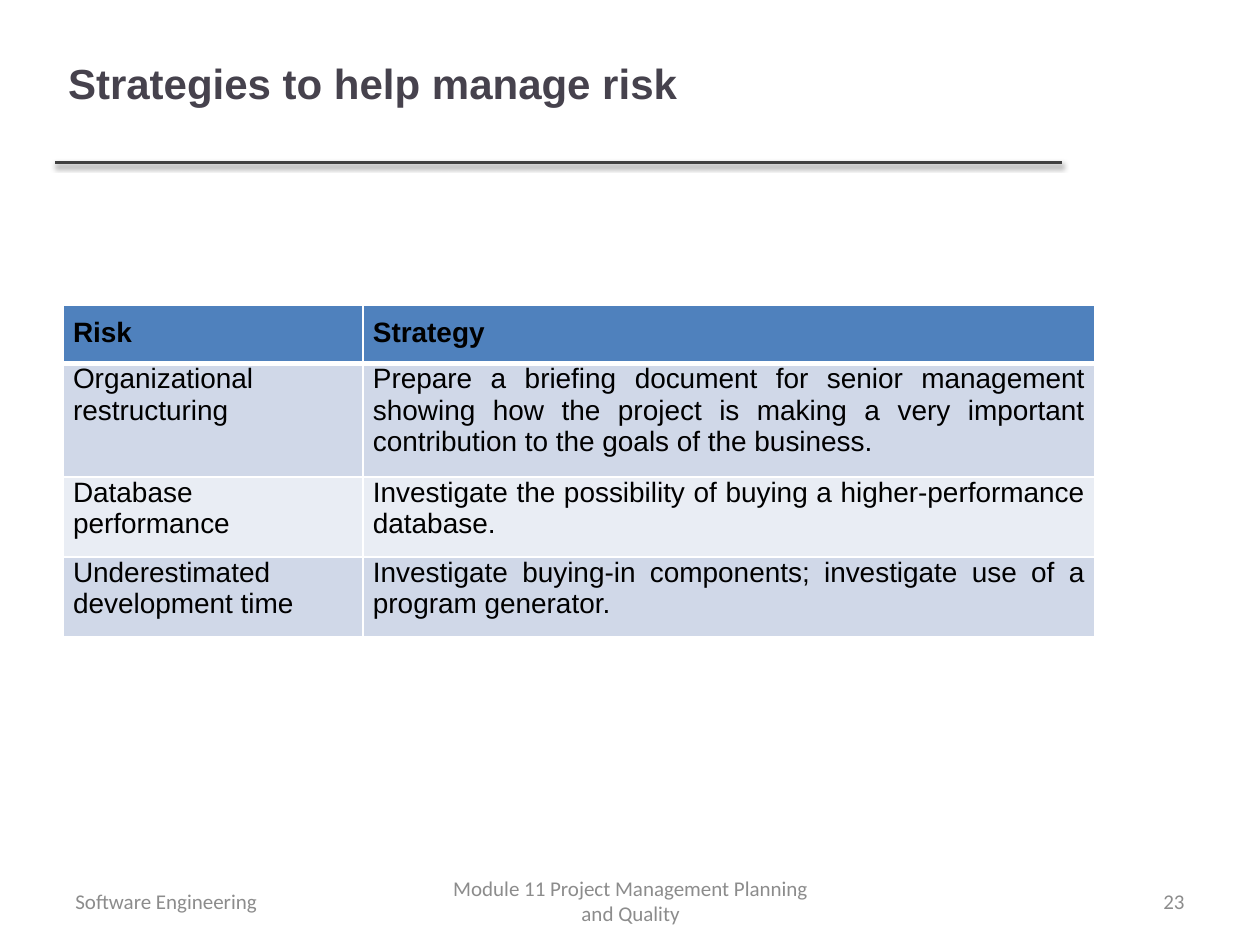
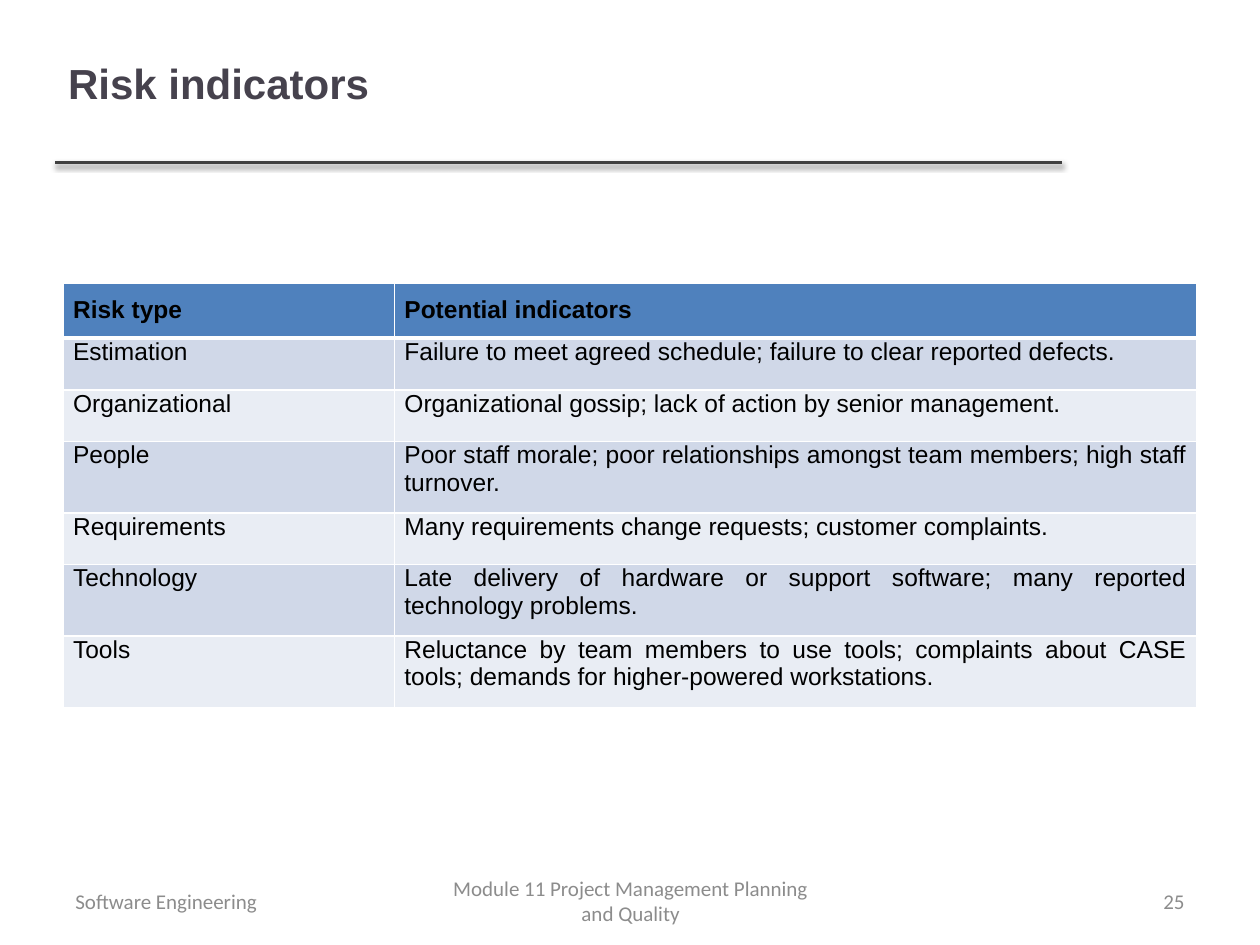
from lxml import etree
from pptx import Presentation
from pptx.dml.color import RGBColor
from pptx.enum import shapes, text
from pptx.oxml import parse_xml
from pptx.oxml.ns import nsdecls, qn
from pptx.util import Inches, Pt

COLORS = {
    "title": "46424D", "rule": "404040", "footer": "8C8C8C", "text": "000000",
    "header": "4F81BD", "odd": "D0D8E8", "even": "E9EDF4", "border": "FFFFFF",
}
LEFT, CENTER, RIGHT, JUSTIFY = (
    text.PP_ALIGN.LEFT, text.PP_ALIGN.CENTER, text.PP_ALIGN.RIGHT, text.PP_ALIGN.JUSTIFY)
ROW_HEIGHT = 0.41

STRATEGIES = [
    ("Risk", "Strategy"),
    ("Organizational restructuring",
     "Prepare a briefing document for senior management showing how the project is "
     "making a very important contribution to the goals of the business."),
    ("Database performance",
     "Investigate the possibility of buying a higher-performance database."),
    ("Underestimated development time",
     "Investigate buying-in components; investigate use of a program generator."),
]
INDICATORS = [
    ("Risk type", "Potential indicators"),
    ("Estimation", "Failure to meet agreed schedule; failure to clear reported defects."),
    ("Organizational", "Organizational gossip; lack of action by senior management."),
    ("People",
     "Poor staff morale; poor relationships amongst team members; high staff turnover."),
    ("Requirements", "Many requirements change requests; customer complaints."),
    ("Technology",
     "Late delivery of hardware or support software; many reported technology problems."),
    ("Tools",
     "Reluctance by team members to use tools; complaints about CASE tools; "
     "demands for higher-powered workstations."),
]


def rgb(name):
    return RGBColor.from_string(COLORS[name])


def write(tf, content, size=12, font="Arial", color="text", bold=False, align=LEFT):
    p = tf.paragraphs[0]
    p.alignment = align
    r = p.add_run()
    r.text = content
    r.font.name, r.font.size, r.font.bold = font, Pt(size), bold
    r.font.color.rgb = rgb(color)


def set_borders(cell, **widths):
    """Draw the cell's sides; widths are points keyed L, R, T and B."""
    tcPr = cell._tc.get_or_add_tcPr()
    for i, side in enumerate("LRTB"):
        tcPr.insert(i, parse_xml(
            f'<a:ln{side} {nsdecls("a")} w="{Pt(widths.get(side, 1))}"><a:solidFill>'
            f'<a:srgbClr val="{COLORS["border"]}"/></a:solidFill></a:ln{side}>'))


class Deck:
    def __init__(self):
        self.prs = Presentation()
        self.prs.slide_width, self.prs.slide_height = Inches(10), Inches(7.5)
        self.s = None

    def slide(self, title, number):
        self.s = self.prs.slides.add_slide(self.prs.slide_layouts[5])
        self.title(title)
        self.rule()
        self.footer(0.5, 2.33, "Software Engineering", LEFT)
        self.footer(3.42, 3.17, "Module 11 Project Management Planning and Quality", CENTER)
        self.footer(7.17, 2.33, str(number), RIGHT)

    def title(self, content):
        sp = self.s.shapes.title
        sp.left, sp.top, sp.width, sp.height = map(Inches, (0.44, 0.03, 7.98, 1.25))
        tf = sp.text_frame
        tf.auto_size = text.MSO_AUTO_SIZE.NONE
        tf.vertical_anchor = text.MSO_ANCHOR.MIDDLE
        write(tf, content, size=24, color="title", bold=True)

    def rule(self):
        line = self.s.shapes.add_connector(
            shapes.MSO_CONNECTOR.STRAIGHT,
            Inches(0.44), Inches(1.29), Inches(8.43), Inches(1.29))
        line.line.color.rgb = rgb("rule")
        line.line.width = Pt(2)
        effects = etree.SubElement(line._element.spPr, qn("a:effectLst"))
        effects.append(parse_xml(
            f'<a:outerShdw {nsdecls("a")} blurRad="{Pt(3.1)}" dist="{Pt(1.6)}" '
            'dir="5400000" rotWithShape="0"><a:srgbClr val="000000">'
            '<a:alpha val="38000"/></a:srgbClr></a:outerShdw>'))

    def footer(self, left, width, content, align):
        sp = self.s.shapes.add_textbox(
            Inches(left), Inches(6.95), Inches(width), Inches(0.4))
        tf = sp.text_frame
        tf.word_wrap = True
        tf.vertical_anchor = text.MSO_ANCHOR.MIDDLE
        write(tf, content, font="Calibri", color="footer", align=align)

    def table(self, top, widths, rows, size, label_align=JUSTIFY):
        """Add a two-column table; label_align applies to the body's first column."""
        table = self.s.shapes.add_table(
            len(rows), len(widths), Inches(0.5), Inches(top),
            Inches(sum(widths)), Inches(ROW_HEIGHT * len(rows))).table
        for column, width in zip(table.columns, widths):
            column.width = Inches(width)
        for i, row in enumerate(rows):
            header = i == 0
            for j, content in enumerate(row):
                cell = table.cell(i, j)
                cell.margin_left = cell.margin_right = Inches(0.08)
                cell.margin_top = Inches(0.1 if header else 0)
                cell.margin_bottom = Inches(0.1)
                cell.fill.solid()
                cell.fill.fore_color.rgb = rgb(
                    "header" if header else "odd" if i % 2 else "even")
                set_borders(cell, T=3 if i == 1 else 1, B=3 if header else 1)
                write(cell.text_frame, content, size=size, bold=header,
                      align=JUSTIFY if header or j else label_align)


def main():
    deck = Deck()
    deck.slide("Strategies to help manage risk", 23)
    deck.table(2.42, (2.38, 5.81), STRATEGIES, size=16, label_align=LEFT)
    deck.slide("Risk indicators", 25)
    deck.table(2.25, (2.63, 6.37), INDICATORS, size=14)
    deck.prs.save("out.pptx")


if __name__ == "__main__":
    main()
